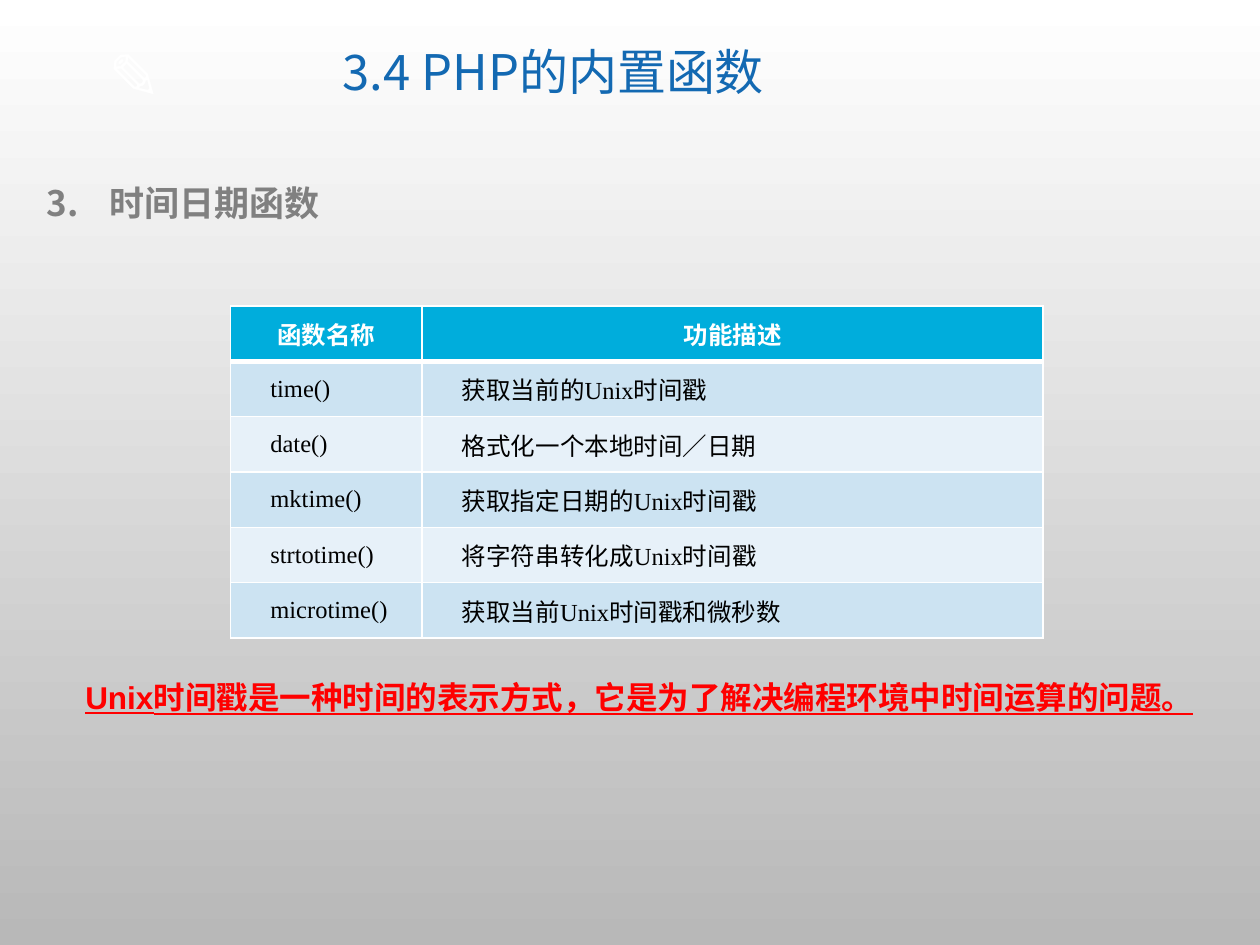
from lxml.etree import SubElement
from pptx import Presentation
from pptx.dml.color import RGBColor
from pptx.enum.text import MSO_ANCHOR as Anchor, PP_ALIGN as Align
from pptx.oxml.ns import qn
from pptx.util import Cm, Pt

WHITE = RGBColor(0xFF, 0xFF, 0xFF)
BLACK = RGBColor(0, 0, 0)
RED = RGBColor(0xFF, 0, 0)
GRAY = RGBColor(0x80, 0x80, 0x80)
BACKDROP_GRAY = RGBColor(0xB8, 0xB8, 0xB8)
TITLE_BLUE = RGBColor(0x13, 0x69, 0xB2)
HEADER_BLUE = RGBColor(0x00, 0xAD, 0xDC)
BANDS = [RGBColor(0xCC, 0xE3, 0xF2), RGBColor(0xE7, 0xF1, 0xF9)]
CJK = "Noto Sans CJK SC"


def write(frame, text, size, color, font=CJK, bold=False):
    """Fill a text frame with one formatted paragraph and return it."""
    frame.text = text
    paragraph = frame.paragraphs[0]
    for run in paragraph.runs:
        run.font.size = Pt(size)
        run.font.bold = bold
        run.font.color.rgb = color
        run.font.name = font
        SubElement(run.font._element, qn("a:ea"), typeface=CJK)
    return paragraph


def add_borders(cell, top, bottom):
    """Draw white cell borders; top and bottom widths are in points."""
    properties = cell._tc.get_or_add_tcPr()
    for side, width in (("L", 1), ("R", 1), ("T", top), ("B", bottom)):
        line = SubElement(properties, qn(f"a:ln{side}"), w=str(Pt(width)))
        SubElement(SubElement(line, qn("a:solidFill")), qn("a:srgbClr"), val=str(WHITE))


prs = Presentation()
prs.slide_width, prs.slide_height = Cm(25.4), Cm(19.05)
slide = prs.slides.add_slide(prs.slide_layouts[6])

# Background: white at the top, gray at the bottom
backdrop = slide.background.fill
backdrop.gradient()
backdrop.gradient_angle = 270
for stop, color, position in zip(backdrop.gradient_stops, (WHITE, BACKDROP_GRAY), (0, 1)):
    stop.color.rgb = color
    stop.position = position

# Pencil mark and title
pencil = slide.shapes.add_textbox(Cm(1.93), Cm(0.61), Cm(2.18), Cm(1.8)).text_frame
write(pencil, "✎", 36, WHITE, bold=True)

title = slide.shapes.add_textbox(Cm(4.6), Cm(0.43), Cm(13.11), Cm(2.16)).text_frame
title.word_wrap = True
title.vertical_anchor = Anchor.MIDDLE
title_line = write(title, "3.4 PHP的内置函数", 28, TITLE_BLUE)
title_line.alignment = Align.CENTER
title_line.line_spacing = 0.9

# Numbered section heading
heading = slide.shapes.add_textbox(Cm(0.69), Cm(3.53), Cm(23.42), Cm(1.12)).text_frame
heading.word_wrap = True
numbering = write(heading, "时间日期函数", 20, GRAY, bold=True)._p.get_or_add_pPr()
numbering.set("marL", str(Cm(1.27)))
numbering.set("indent", str(-Cm(1.27)))
SubElement(numbering, qn("a:buFont"), typeface=CJK)
SubElement(numbering, qn("a:buAutoNum"), type="arabicPeriod", startAt="3")

# Function table
rows = [
    ("函数名称", "功能描述"),
    ("time()", "获取当前的Unix时间戳"),
    ("date()", "格式化一个本地时间／日期"),
    ("mktime()", "获取指定日期的Unix时间戳"),
    ("strtotime()", "将字符串转化成Unix时间戳"),
    ("microtime()", "获取当前Unix时间戳和微秒数"),
]
functions = slide.shapes.add_table(
    len(rows), 2, Cm(4.65), Cm(6.17), Cm(16.38), Cm(6.69)).table
for column, width in zip(functions.columns, (3.86, 12.52)):
    column.width = Cm(width)

for r, row in enumerate(rows):
    is_header = r == 0
    for c, text in enumerate(row):
        cell = functions.cell(r, c)
        cell.vertical_anchor = Anchor.MIDDLE
        cell.margin_top = cell.margin_bottom = 0
        cell.margin_left = Cm(0.18 if is_header else 0.5)
        cell.margin_right = Cm(0.18)
        add_borders(cell, top=3 if r == 1 else 1, bottom=3 if is_header else 1)
        cell.fill.solid()
        if is_header:
            cell.fill.fore_color.rgb = HEADER_BLUE
            entry = write(cell.text_frame, text, 14, WHITE, "Calibri", bold=True)
            entry.alignment = Align.CENTER
        else:
            cell.fill.fore_color.rgb = BANDS[(r - 1) % 2]
            entry = write(cell.text_frame, text, 14, BLACK, "Times New Roman")
            entry.alignment = Align.JUSTIFY
            entry._p.get_or_add_pPr().set("marL", str(Cm(0.3)))

# Remark on the timestamp
remark = slide.shapes.add_textbox(Cm(1.47), Cm(13.54), Cm(23.42), Cm(1.02)).text_frame
remark.word_wrap = True
remark_line = write(
    remark, "Unix时间戳是一种时间的表示方式，它是为了解决编程环境中时间运算的问题。",
    18, RED, "Arial", bold=True)
remark_line.runs[0].font.underline = True

prs.save("out.pptx")
